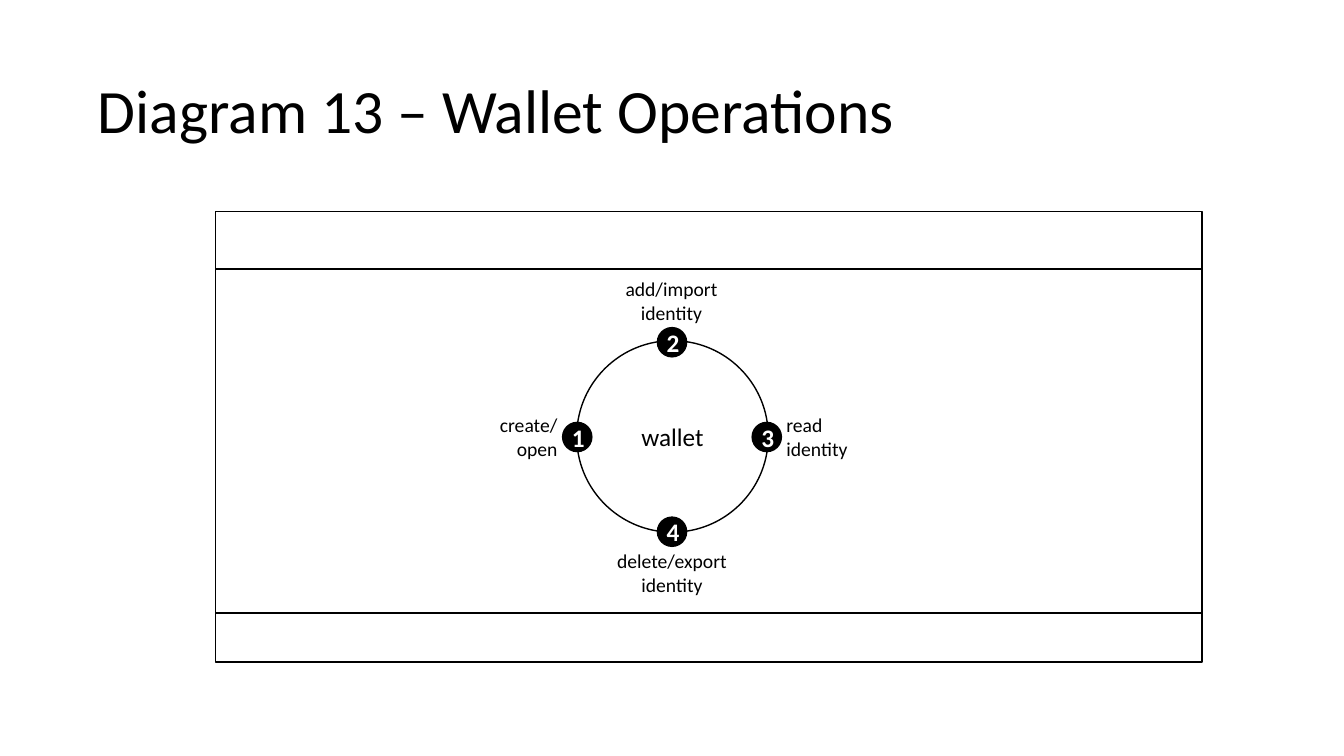
from pptx import Presentation
from pptx.dml.color import RGBColor
from pptx.enum.shapes import MSO_CONNECTOR, MSO_SHAPE
from pptx.enum.text import MSO_ANCHOR, MSO_AUTO_SIZE, PP_ALIGN
from pptx.oxml.ns import qn
from pptx.util import Pt
from lxml import etree

PX = 9144
BLACK = RGBColor(0, 0, 0)
WHITE = RGBColor(255, 255, 255)
FONT = "Calibri"
LEFT, CENTER, RIGHT = PP_ALIGN.LEFT, PP_ALIGN.CENTER, PP_ALIGN.RIGHT
MIDDLE, TOP = MSO_ANCHOR.MIDDLE, MSO_ANCHOR.TOP
RECTANGLE, OVAL = MSO_SHAPE.RECTANGLE, MSO_SHAPE.OVAL
STRAIGHT = MSO_CONNECTOR.STRAIGHT
FIT_SHAPE = MSO_AUTO_SIZE.SHAPE_TO_FIT_TEXT

TITLE_BOX = (92, 40, 1150, 145)
FRAME_BOX = (214, 210, 978, 447)
WALLET_BOX = (572, 338, 190, 190)
DIVIDERS = (57, 398)
BADGE = 29
ORBIT = 94
OPERATIONS = (
    ("1", (-1, 0), "create/\nopen", (490, 405, 68, 57), RIGHT),
    ("2", (0, -1), "add/import\nidentity", (615, 270, 102, 57), CENTER),
    ("3", (1, 0), "read\nidentity", (775, 405, 126, 57), LEFT),
    ("4", (0, 1), "delete/export\nidentity", (606, 540, 121, 57), CENTER),
)


def emu(*lengths):
    """Turn px lengths into EMU."""
    return [length * PX for length in lengths]


def write(shape, text, size, color=BLACK, align=CENTER, anchor=MIDDLE, bold=False):
    """Put formatted text into a shape."""
    frame = shape.text_frame
    frame.text = text
    frame.word_wrap = True
    frame.vertical_anchor = anchor
    frame.margin_left = frame.margin_right = frame.margin_top = frame.margin_bottom = 5 * PX
    for para in frame.paragraphs:
        para.alignment = align
        for span in para.runs:
            span.font.name = FONT
            span.font.size = Pt(size)
            span.font.bold = bold
            span.font.color.rgb = color


def add_outline(page, kind, box, fill=None):
    """Add a black-lined shape, filled when a colour is given."""
    shape = page.shapes.add_shape(kind, *emu(*box))
    shape.shadow.inherit = False
    shape.line.color.rgb = BLACK
    shape.line.width = Pt(1)
    if fill is None:
        shape.fill.background()
    else:
        shape.fill.solid()
        shape.fill.fore_color.rgb = fill
    return shape


def add_title(page, box):
    """Place and format the title."""
    title = page.shapes.title
    title.left, title.top, title.width, title.height = emu(*box)
    write(title, "Diagram 13 – Wallet Operations", 44, align=LEFT)
    title.text_frame.paragraphs[0].line_spacing = 0.9


def add_frame(page, box):
    """Draw the frame with its header and footer dividers."""
    left, top, width, _ = box
    add_outline(page, RECTANGLE, box)
    for offset in DIVIDERS:
        y = top + offset
        divider = page.shapes.add_connector(STRAIGHT, *emu(left, y, left + width, y))
        divider.line.color.rgb = BLACK
        divider.line.width = Pt(1)
        etree.SubElement(divider.element.spPr, qn("a:effectLst"))


def add_label(page, text, box, align):
    """Add the caption of one operation."""
    label = page.shapes.add_textbox(*emu(*box))
    write(label, text, 14, align=align, anchor=TOP)
    label.text_frame.word_wrap = align == LEFT
    label.text_frame.auto_size = FIT_SHAPE


def add_wallet(page, box):
    """Draw the wallet circle with its numbered operations."""
    left, top, width, height = box
    write(add_outline(page, OVAL, box, WHITE), "wallet", 18)
    badge_left = left + (width - BADGE) // 2
    badge_top = top + (height - BADGE) // 2 + 1
    for number, (across, down), text, label_box, align in OPERATIONS:
        add_label(page, text, label_box, align)
        badge_box = (badge_left + across * ORBIT, badge_top + down * ORBIT, BADGE, BADGE)
        badge = add_outline(page, OVAL, badge_box, BLACK)
        write(badge, number, 18, WHITE, bold=True)


def main():
    """Build and save the deck."""
    deck = Presentation()
    deck.slide_width, deck.slide_height = emu(1333, 750)
    page = deck.slides.add_slide(deck.slide_layouts.get_by_name("Title Only"))
    add_title(page, TITLE_BOX)
    add_frame(page, FRAME_BOX)
    add_wallet(page, WALLET_BOX)
    deck.save("out.pptx")


if __name__ == "__main__":
    main()
